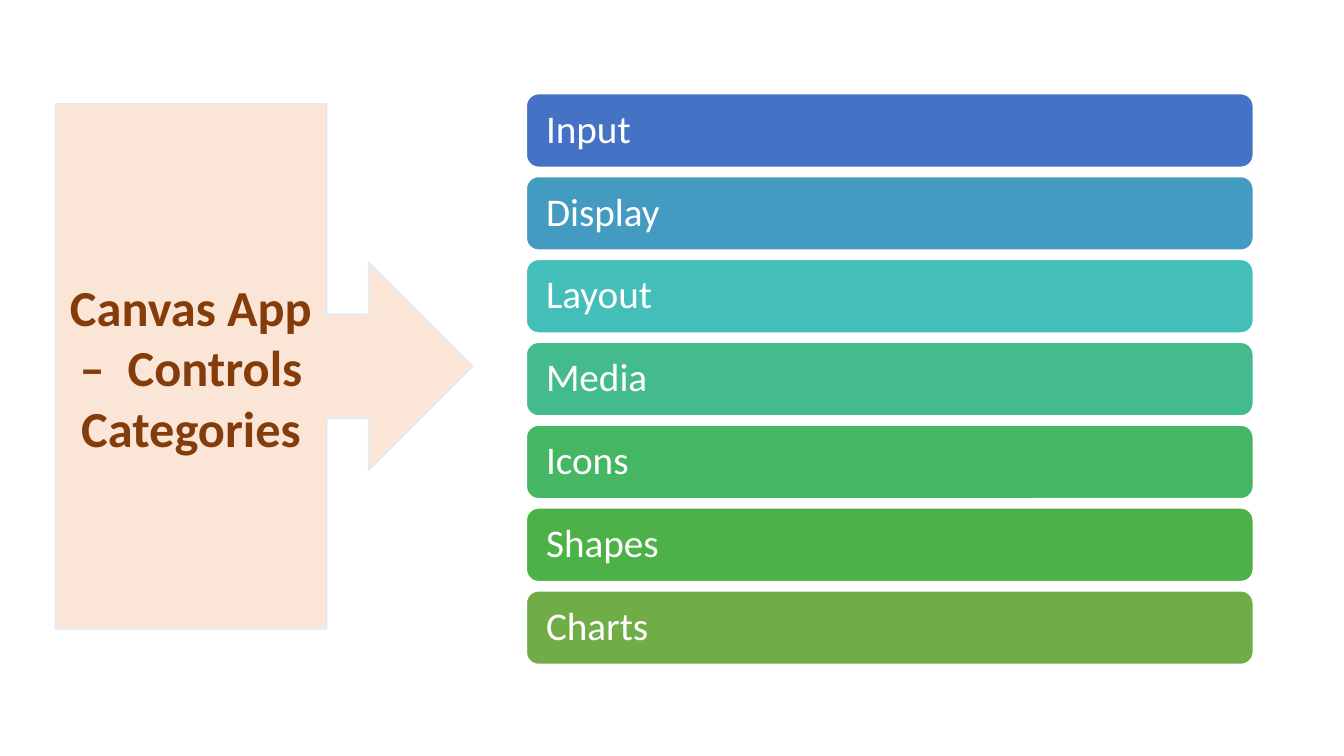
import pptx
import pptx.util
import pptx.dml.color
import pptx.enum.shapes
import pptx.enum.text

Inches = pptx.util.Inches
Pt = pptx.util.Pt
SHAPE = pptx.enum.shapes.MSO_SHAPE
ALIGN = pptx.enum.text.PP_ALIGN

BARS = [
    ("Input", "4472C4"),
    ("Display", "449BC1"),
    ("Layout", "43BEB9"),
    ("Media", "43BB8D"),
    ("Icons", "45B664"),
    ("Shapes", "4CB146"),
    ("Charts", "70AD47"),
]
TOP = 0.93
STEP = 0.822


def paint(target, color):
    target.rgb = pptx.dml.color.RGBColor.from_string(color)


def add_box(slide, kind, left, top, width, height, fill, line):
    box = slide.shapes.add_shape(
        kind, Inches(left), Inches(top), Inches(width), Inches(height))
    box.shadow.inherit = False
    box.fill.solid()
    paint(box.fill.fore_color, fill)
    paint(box.line.color, line)
    box.line.width = Pt(1)
    return box


def set_text(box, text, size, color, align, bold=False):
    frame = box.text_frame
    frame.word_wrap = True
    frame.vertical_anchor = pptx.enum.text.MSO_ANCHOR.MIDDLE
    frame.text = text
    para = frame.paragraphs[0]
    para.alignment = align
    font = para.runs[0].font
    font.name = "Calibri"
    font.size = Pt(size)
    font.bold = bold
    paint(font.color, color)
    return para


def add_bar(slide, top, label, fill):
    bar = add_box(slide, SHAPE.ROUNDED_RECTANGLE,
                  5.22, top, 7.21, 0.73, fill, "FFFFFF")
    para = set_text(bar, label, 28, "FFFFFF", ALIGN.LEFT)
    para.line_spacing = 0.9
    frame = bar.text_frame
    frame.margin_left = frame.margin_right = Inches(0.16)


def add_title(slide, text):
    title = add_box(slide, SHAPE.RIGHT_ARROW_CALLOUT,
                    0.55, 1.03, 4.14, 5.21, "FBE5D6", "DEEBF7")
    set_text(title, text, 36, "843C0B", ALIGN.CENTER, bold=True)


def main():
    deck = pptx.Presentation()
    deck.slide_width = Inches(13.33)
    deck.slide_height = Inches(7.5)
    slide = deck.slides.add_slide(deck.slide_layouts[6])

    # Category bars, evenly spaced
    for row, (label, fill) in enumerate(BARS):
        add_bar(slide, TOP + row * STEP, label, fill)

    # Title callout pointing at the bars
    add_title(slide, "Canvas App –  Controls Categories")

    deck.save("out.pptx")


if __name__ == "__main__":
    main()
